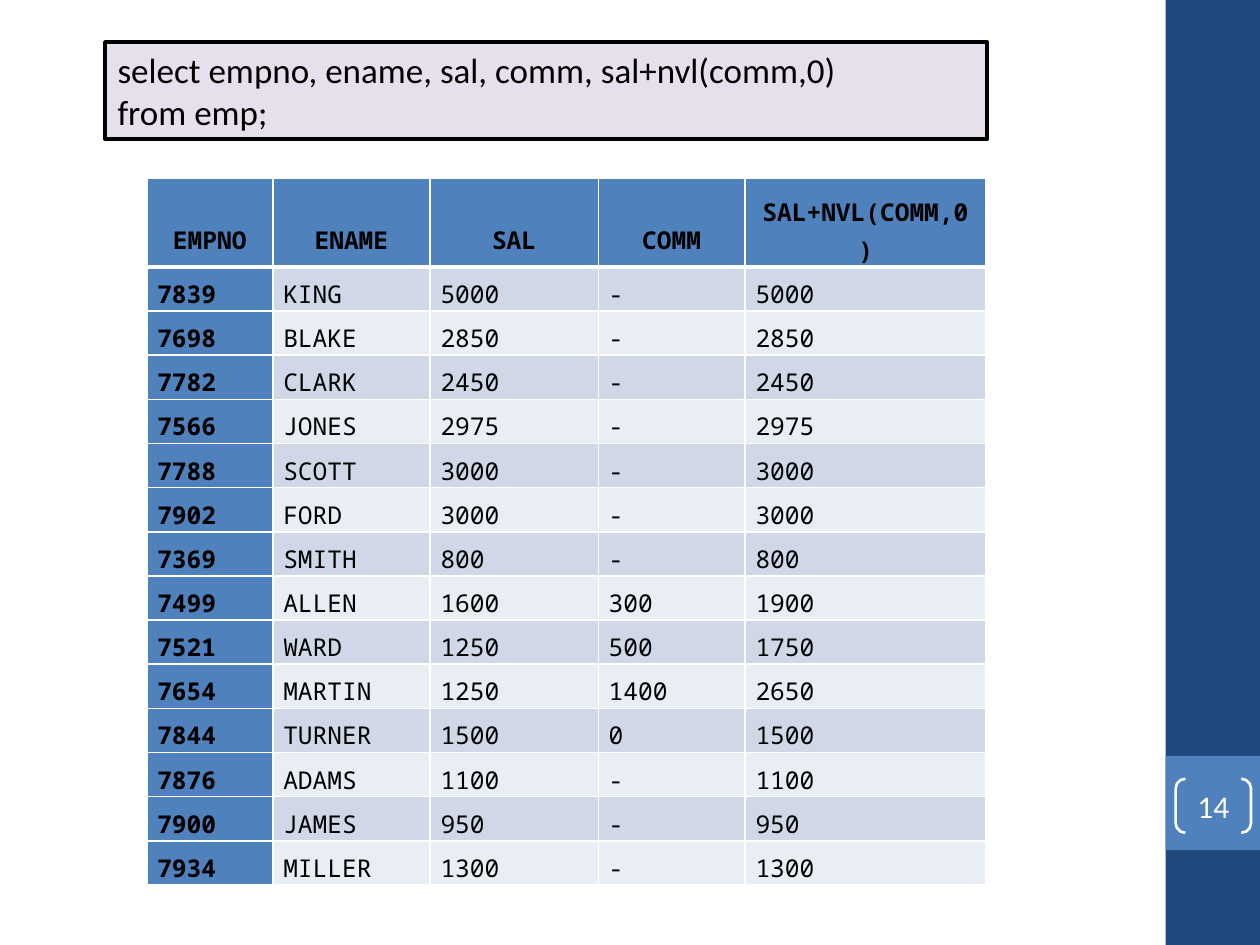
from lxml import etree
from pptx import Presentation, util as u
from pptx.dml.color import RGBColor
from pptx.enum import shapes, text
from pptx.oxml.ns import qn

# Content
QUERY = ["select empno, ename, sal, comm, sal+nvl(comm,0)", "from emp;"]
PAGE = "14"
HEADER = ["EMPNO", "ENAME", "SAL", "COMM", "SAL+NVL(COMM,0)"]
EMPLOYEES = [  # number, name, salary, commission ("-" when null)
    ("7839", "KING", 5000, "-"),
    ("7698", "BLAKE", 2850, "-"),
    ("7782", "CLARK", 2450, "-"),
    ("7566", "JONES", 2975, "-"),
    ("7788", "SCOTT", 3000, "-"),
    ("7902", "FORD", 3000, "-"),
    ("7369", "SMITH", 800, "-"),
    ("7499", "ALLEN", 1600, 300),
    ("7521", "WARD", 1250, 500),
    ("7654", "MARTIN", 1250, 1400),
    ("7844", "TURNER", 1500, 0),
    ("7876", "ADAMS", 1100, "-"),
    ("7900", "JAMES", 950, "-"),
    ("7934", "MILLER", 1300, "-"),
]

# Style and measures (cm)
COLORS = {"navy": "1F497D", "blue": "4F81BD", "lilac": "E6E0EC", "white": "FFFFFF",
          "black": "000000", "band_dark": "D0D8E8", "band_light": "E9EDF4"}
COLUMNS = [2.54, 3.17, 3.39, 2.96, 4.86]
HEADER_HEIGHT, ROW_HEIGHT = 1.78, 0.89
SIDE_LEFT, SIDE_WIDTH = 23.5, 1.9


def color(name):
    return RGBColor.from_string(COLORS[name])


def style_font(paragraph, face, size, name, bold=False):
    for run in paragraph.runs:
        run.font.name, run.font.size, run.font.bold = face, u.Pt(size), bold
        run.font.color.rgb = color(name)


def add_box(slide, kind, left, top, width, height, fill=None, line=None, weight=1):
    box = slide.shapes.add_shape(kind, u.Cm(left), u.Cm(top), u.Cm(width), u.Cm(height))
    box.shadow.inherit = False
    if fill:
        box.fill.solid()
        box.fill.fore_color.rgb = color(fill)
    else:
        box.fill.background()
    if line:
        box.line.color.rgb = color(line)
        box.line.width = u.Pt(weight)
    else:
        box.line.fill.background()
    return box


def add_border(cell, side, points):
    line = etree.SubElement(cell._tc.get_or_add_tcPr(), qn(f"a:ln{side}"),
                            w=str(u.Pt(points)))
    fill = etree.SubElement(line, qn("a:solidFill"))
    etree.SubElement(fill, qn("a:srgbClr"), val=COLORS["white"])


def fill_cell(cell, value, row, column):
    header = row == 0
    for side in "LRTB":
        thick = (header and side == "B") or (row == 1 and side == "T")
        add_border(cell, side, 3 if thick else 1)
    if header or column == 0:
        fill = "blue"
    else:
        fill = "band_dark" if row % 2 else "band_light"
    cell.fill.solid()
    cell.fill.fore_color.rgb = color(fill)
    cell.margin_left = cell.margin_right = u.Cm(0.21)
    cell.margin_top = u.Cm(0.21 if header else 0.1)
    # Only one-line headings leave room below the text
    one_line_heading = header and column < len(COLUMNS) - 1
    cell.margin_bottom = u.Cm(0.21 if one_line_heading else 0)
    cell.vertical_anchor = text.MSO_ANCHOR.BOTTOM if header else text.MSO_ANCHOR.MIDDLE
    cell.text_frame.text = str(value)
    paragraph = cell.text_frame.paragraphs[0]
    paragraph.line_spacing = 1.15
    paragraph.alignment = text.PP_ALIGN.CENTER if header else text.PP_ALIGN.LEFT
    style_font(paragraph, "Noto Sans Mono", 14, "black", bold=header or column == 0)


def main():
    deck = Presentation()
    deck.slide_width, deck.slide_height = u.Cm(25.4), u.Cm(19.05)
    slide = deck.slides.add_slide(deck.slide_layouts[6])
    kinds = shapes.MSO_SHAPE

    # Side band with the page number
    add_box(slide, kinds.RECTANGLE, SIDE_LEFT, 0, SIDE_WIDTH, 19.05, "navy")
    add_box(slide, kinds.RECTANGLE, SIDE_LEFT, 15.24, SIDE_WIDTH, 1.9, "blue")
    page = add_box(slide, kinds.DOUBLE_BRACKET, 23.7, 15.7, 1.52, 1.09,
                   line="white", weight=1.5)
    page.adjustments[0] = 0.18
    frame = page.text_frame
    frame.margin_left = frame.margin_right = frame.margin_top = frame.margin_bottom = 0
    frame.vertical_anchor = text.MSO_ANCHOR.MIDDLE
    frame.text = PAGE
    frame.paragraphs[0].alignment = text.PP_ALIGN.CENTER
    style_font(frame.paragraphs[0], "Calibri", 18, "white")

    # Query
    query = add_box(slide, kinds.RECTANGLE, 2.12, 0.85, 17.78, 1.96,
                    "lilac", "black", 2.25)
    query.text_frame.word_wrap = True
    query.text_frame.vertical_anchor = text.MSO_ANCHOR.TOP
    query.text_frame.text = "\n".join(QUERY)
    for paragraph in query.text_frame.paragraphs:
        paragraph.alignment = text.PP_ALIGN.LEFT
        style_font(paragraph, "Calibri", 20, "black")

    # Query result: the last column is salary plus commission, null counting as 0
    results = [HEADER] + [
        (number, name, salary, commission,
         salary + (0 if commission == "-" else commission))
        for number, name, salary, commission in EMPLOYEES]
    height = HEADER_HEIGHT + ROW_HEIGHT * len(EMPLOYEES)
    result_table = slide.shapes.add_table(
        len(results), len(COLUMNS), u.Cm(2.96), u.Cm(3.6),
        u.Cm(sum(COLUMNS)), u.Cm(height)).table
    for column, width in zip(result_table.columns, COLUMNS):
        column.width = u.Cm(width)
    for r, values in enumerate(results):
        result_table.rows[r].height = u.Cm(ROW_HEIGHT if r else HEADER_HEIGHT)
        for c, value in enumerate(values):
            fill_cell(result_table.cell(r, c), value, r, c)

    deck.save("out.pptx")


if __name__ == "__main__":
    main()
